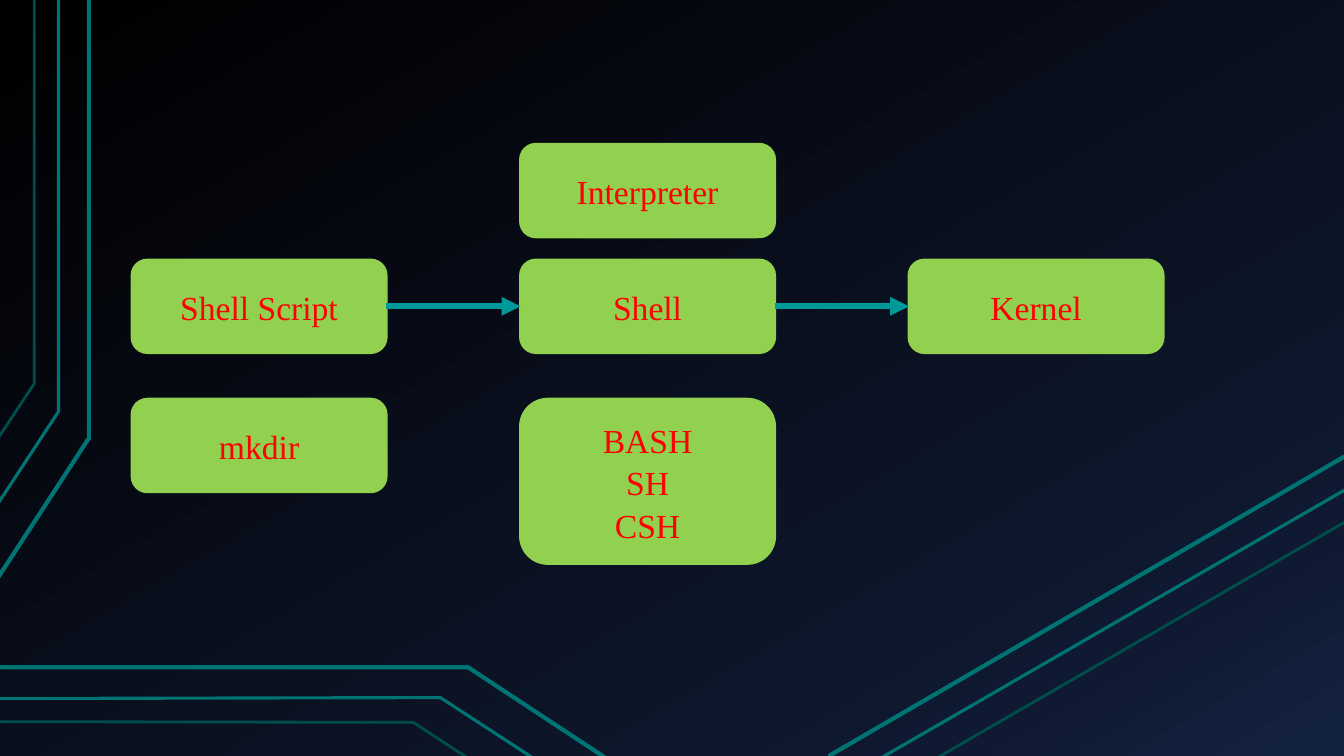
"""Build a slide that shows how a shell script reaches the kernel."""
import copy
from dataclasses import dataclass

import pptx
import pptx.dml.color
import pptx.enum.shapes
import pptx.enum.text
import pptx.oxml.ns
import pptx.oxml.xmlchemy
import pptx.util

Pt = pptx.util.Pt


@dataclass(frozen=True)
class Theme:
    box: str = "92D050"
    text: str = "FF0000"
    arrow: str = "009999"
    trace: str = "007373"
    dim: str = "004D4D"
    fade: tuple = ((0, "000000"), (0.85, "0F1931"), (1, "142242"))
    font: str = "Times New Roman"
    size: float = 24


@dataclass(frozen=True)
class Box:
    text: str
    col: int
    top: float
    high: float = 66.2


@dataclass(frozen=True)
class Trace:
    points: tuple
    width: float
    tint: str


THEME = Theme()
LEFT, PITCH, WIDTH = 94.3, 277.5, 181.6
TOP, MID, LOW = 103, 185.7, 285.1

CHAIN = [Box("Shell Script", 0, MID), Box("Shell", 1, MID), Box("Kernel", 2, MID)]
NOTES = [
    Box("BASH\nSH\nCSH", 1, LOW, 117.4),
    Box("mkdir", 0, LOW),
    Box("Interpreter", 1, TOP),
]
STYLES = [(3, THEME.trace), (2.25, THEME.trace), (2, THEME.dim)]
GROUPS = [
    [
        ((-1, 412), (63.5, 313), (63.5, 0)),
        ((-1, 359), (41.8, 294), (41.8, 0)),
        ((-1, 312.5), (24.5, 274), (24.5, 0)),
    ],
    [
        ((592, 540), (960.5, 326)),
        ((630, 541), (960.5, 350)),
        ((670, 541), (960.5, 373)),
    ],
    [
        ((432, 541), (334.5, 476.7), (0, 476.7)),
        ((380, 541), (314.6, 498.3), (0, 499)),
        ((333.4, 541), (295.2, 516), (0, 515.5)),
    ],
]
TRACES = [Trace(points, *style) for group in GROUPS for points, style in zip(group, STYLES)]


def shade(tint: str) -> pptx.dml.color.RGBColor:
    """Turn a hex string into a colour."""
    return pptx.dml.color.RGBColor.from_string(tint)


def stroke(shape, tint: str, width: float) -> None:
    """Set the colour and width of an outline."""
    shape.line.color.rgb = shade(tint)
    shape.line.width = Pt(width)


def paint_back(slide) -> None:
    """Fill the slide with the dark fade."""
    fill = slide.background.fill
    fill.gradient()
    fill.gradient_angle = 300
    stops = slide.element.xpath(".//a:gsLst")[0]
    stops.append(copy.deepcopy(stops[-1]))
    for stop, (place, tint) in zip(fill.gradient_stops, THEME.fade):
        stop.position = place
        stop.color.rgb = shade(tint)


def write(frame, text: str, *, size: float, tint: str, font: str) -> None:
    """Put centred lines of text in a frame."""
    frame.word_wrap = True
    frame.vertical_anchor = pptx.enum.text.MSO_ANCHOR.MIDDLE
    frame.text = text
    for line in frame.paragraphs:
        line.alignment = pptx.enum.text.PP_ALIGN.CENTER
        line.line_spacing = 1.05
        line.font.size = Pt(size)
        line.font.name = font
        line.font.color.rgb = shade(tint)


def draw_box(slide, box: Box):
    """Draw one labelled box and return it."""
    shape = slide.shapes.add_shape(
        pptx.enum.shapes.MSO_SHAPE.ROUNDED_RECTANGLE,
        Pt(LEFT + box.col * PITCH), Pt(box.top), Pt(WIDTH), Pt(box.high),
    )
    shape.shadow.inherit = False
    shape.fill.solid()
    shape.fill.fore_color.rgb = shade(THEME.box)
    stroke(shape, THEME.box, 2)
    write(shape.text_frame, box.text, size=THEME.size, tint=THEME.text, font=THEME.font)
    return shape


def draw_line(slide, start: tuple, end: tuple, tint: str, width: float):
    """Draw a straight line without a shadow and return it."""
    line = slide.shapes.add_connector(
        pptx.enum.shapes.MSO_CONNECTOR.STRAIGHT, *map(Pt, start), *map(Pt, end)
    )
    stroke(line, tint, width)
    line.element.spPr.append(pptx.oxml.xmlchemy.OxmlElement("a:effectLst"))
    return line


def draw_trace(slide, trace: Trace) -> None:
    """Draw one circuit trace, straight or bent."""
    start, *rest = trace.points
    if len(rest) == 1:
        draw_line(slide, start, rest[0], trace.tint, trace.width)
        return
    pen = slide.shapes.build_freeform(*map(Pt, start))
    pen.add_line_segments([(Pt(x), Pt(y)) for x, y in rest], close=False)
    shape = pen.convert_to_shape()
    shape.shadow.inherit = False
    shape.fill.background()
    stroke(shape, trace.tint, trace.width)


def draw_arrow(slide, first, second) -> None:
    """Join two boxes, side to side, with an arrow."""
    line = draw_line(slide, (0, 0), (1, 1), THEME.arrow, 4.5)
    line.begin_connect(first, 3)
    line.end_connect(second, 1)
    head = pptx.oxml.xmlchemy.OxmlElement("a:tailEnd")
    head.set("type", "triangle")
    line.element.spPr.find(pptx.oxml.ns.qn("a:ln")).append(head)


def main() -> None:
    """Build and save the slide."""
    deck = pptx.Presentation()
    deck.slide_width, deck.slide_height = Pt(960), Pt(540)
    slide = deck.slides.add_slide(deck.slide_layouts[6])
    paint_back(slide)
    for trace in TRACES:
        draw_trace(slide, trace)
    chain = [draw_box(slide, box) for box in CHAIN]
    for first, second in zip(chain, chain[1:]):
        draw_arrow(slide, first, second)
    for box in NOTES:
        draw_box(slide, box)
    deck.save("out.pptx")


if __name__ == "__main__":
    main()
